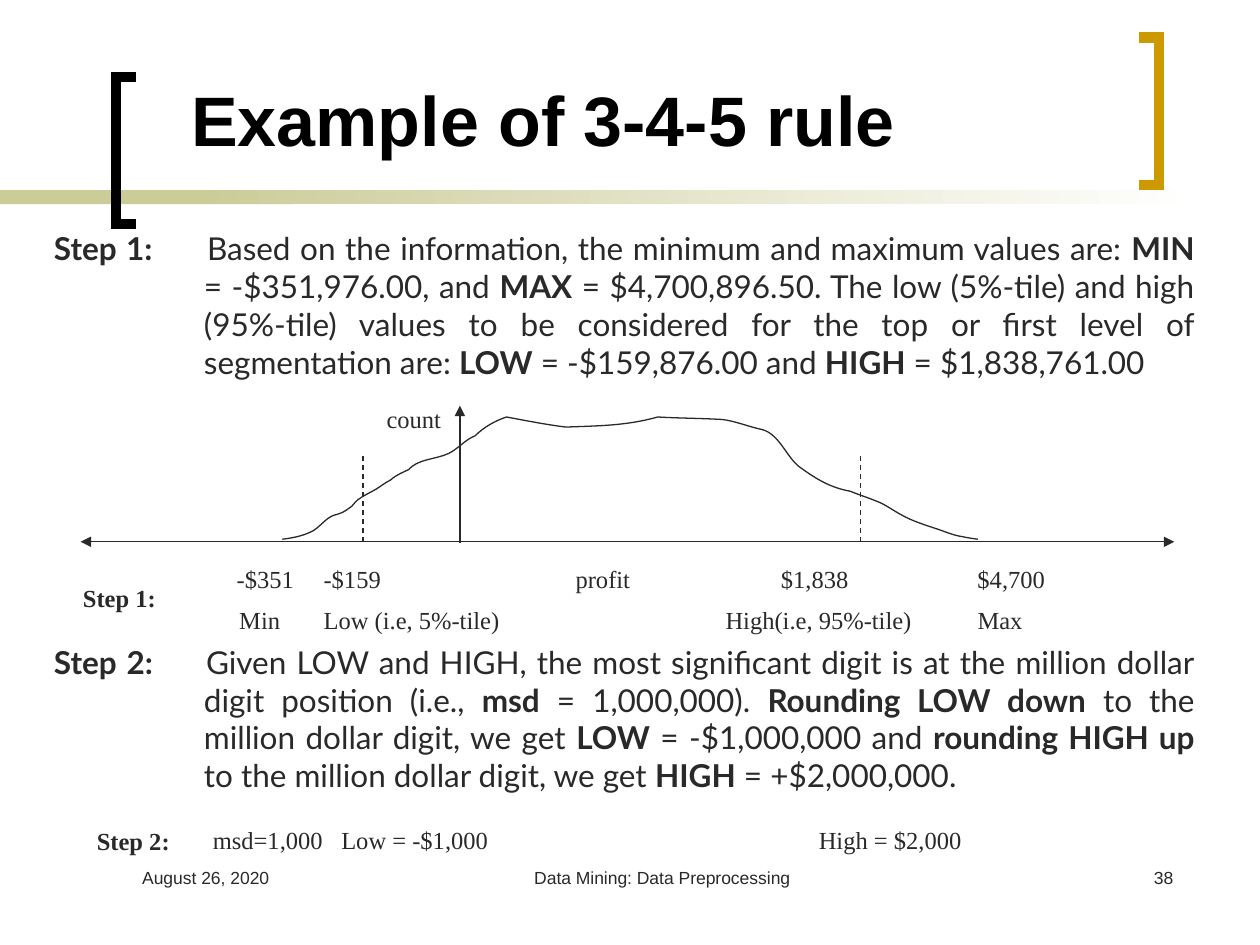
from dataclasses import dataclass

from lxml.etree import SubElement
from pptx import Presentation
from pptx.dml.color import RGBColor as Rgb
from pptx.enum.dml import MSO_LINE as Dash
from pptx.enum.shapes import MSO_CONNECTOR as Connector, MSO_SHAPE as Preset
from pptx.enum.text import MSO_ANCHOR as Anchor, PP_ALIGN as Align
from pptx.oxml.ns import qn
from pptx.util import Inches, Pt


@dataclass(frozen=True)
class Theme:
    ink: str = "292929"
    black: str = "000000"
    gold: str = "CC9900"
    band: str = "CCCC99"
    white: str = "FFFFFF"
    sans: str = "Arial"
    body: str = "Lato"
    serif: str = "Times New Roman"
    title_size: int = 40
    body_size: int = 18
    label_size: int = 14
    footer_size: int = 10
    bracket_line: float = 6
    chart_line: float = 0.75


THEME = Theme()
INSET = 0.1
HANGING = 1.19
CHART_GAP = 150

TITLE = "Example of 3-4-5 rule"
STEPS = [
    [("Step 1:", True),
     (" \tBased on the information, the minimum and maximum values are: ", False),
     ("MIN", True), (" = -$351,976.00, and ", False),
     ("MAX", True),
     (" = $4,700,896.50. The low (5%-tile) and high (95%-tile) values to be "
      "considered for the top or first level of segmentation are: ", False),
     ("LOW", True), (" = -$159,876.00 and ", False),
     ("HIGH", True), (" = $1,838,761.00", False)],
    [("Step 2:\t", True),
     ("Given LOW and HIGH, the most significant digit is at the million dollar "
      "digit position (i.e., ", False),
     ("msd", True), (" = 1,000,000). ", False),
     ("Rounding LOW down", True), (" to the million dollar digit, we get ", False),
     ("LOW", True), (" = -$1,000,000 and ", False),
     ("rounding HIGH up", True), (" to the million dollar digit, we get ", False),
     ("HIGH", True), (" = +$2,000,000.", False)],
]
LABEL_ROWS = [
    (3.16, 3.6, False, [("count", 3.07)]),
    (4.43, 9.75, False, [("-$351", 1.88), ("-$159", 2.57), ("profit", 4.57),
                         ("$1,838", 6.2), ("$4,700", 7.76)]),
    (4.58, 1.48, True, [("Step 1:", 0.66)]),
    (4.75, 9.58, False, [("Min", 1.9), ("Low (i.e, 5%-tile)", 2.57),
                         ("High(i.e, 95%-tile)", 5.76), ("Max", 7.76)]),
    (6.5, 9.08, False, [("msd=1,000", 1.69), ("Low = -$1,000", 2.71),
                        ("High = $2,000", 6.5)]),
    (6.51, 1.58, True, [("Step 2:", 0.77)]),
]
FOOTERS = [
    ("August 26, 2020", 1.03, 2.08, Align.LEFT),
    ("Data Mining: Data Preprocessing", 3.67, 3.17, Align.CENTER),
    ("38", 7.33, 2.08, Align.RIGHT),
]
BRACKETS = [
    ([(1.08, 1.78), (0.92, 1.78), (0.92, 0.61), (1.08, 0.61)], THEME.black),
    ([(9.04, 0.3), (9.2, 0.3), (9.2, 1.47), (9.04, 1.47)], THEME.gold),
]
CURVE_START = (2.24, 4.28)
CURVE = [
    ((2.33, 4.27), (2.42, 4.25), (2.49, 4.21)),
    ((2.55, 4.17), (2.59, 4.11), (2.65, 4.09)),
    ((2.72, 4.07), (2.72, 4.07), (2.79, 4.02)),
    ((2.81, 4), (2.83, 3.97), (2.85, 3.96)),
    ((2.89, 3.93), (2.94, 3.91), (2.99, 3.88)),
    ((3.02, 3.86), (3.06, 3.83), (3.1, 3.81)),
    ((3.14, 3.77), (3.24, 3.73), (3.24, 3.73)),
    ((3.32, 3.64), (3.45, 3.65), (3.56, 3.6)),
    ((3.64, 3.56), (3.69, 3.49), (3.77, 3.46)),
    ((3.84, 3.39), (3.93, 3.34), (4.02, 3.31)),
    ((4.18, 3.34), (4.33, 3.37), (4.49, 3.39)),
    ((4.76, 3.38), (4.97, 3.38), (5.22, 3.31)),
    ((5.39, 3.32), (5.56, 3.32), (5.73, 3.33)),
    ((5.83, 3.34), (5.95, 3.39), (6.05, 3.41)),
    ((6.19, 3.45), (6.24, 3.63), (6.35, 3.71)),
    ((6.49, 3.81), (6.59, 3.87), (6.75, 3.9)),
    ((6.82, 3.93), (6.89, 3.95), (6.96, 3.98)),
    ((7.02, 4), (7.1, 4.06), (7.16, 4.09)),
    ((7.23, 4.13), (7.32, 4.16), (7.41, 4.19)),
    ((7.48, 4.21), (7.56, 4.25), (7.64, 4.26)),
    ((7.68, 4.27), (7.76, 4.28), (7.76, 4.28)),
]
AXES = [
    ((0.64, 4.3), (9.32, 4.3), ("headEnd", "tailEnd")),
    ((3.65, 4.31), (3.65, 3.22), ("tailEnd",)),
]
CUTOFFS = [2.88, 6.83]


def add_text(page, paras, left, top, width, height, *, font, size, color=THEME.ink,
             align=Align.LEFT, anchor=Anchor.TOP, hanging=0, gap=0, tabs=(), wrap=True):
    box = page.shapes.add_textbox(*map(Inches, (left, top, width, height)))
    frame = box.text_frame
    frame.word_wrap = wrap
    frame.vertical_anchor = anchor
    for index, spans in enumerate(paras):
        para = frame.add_paragraph() if index else frame.paragraphs[0]
        para.alignment = align
        if index:
            para.space_before = Pt(gap)
        props = para._p.get_or_add_pPr()
        if hanging:
            props.set("marL", str(Inches(hanging)))
            props.set("indent", str(-Inches(hanging)))
        if tabs:
            stops = SubElement(props, qn("a:tabLst"))
            for tab in tabs:
                SubElement(stops, qn("a:tab"), pos=str(Inches(tab)), algn="l")
        for words, bold in spans:
            span = para.add_run()
            span.text = words
            span.font.name = font
            span.font.size = Pt(size)
            span.font.bold = bold
            span.font.color.rgb = Rgb.from_string(color)


def style_line(shape, color, width):
    shape.line.color.rgb = Rgb.from_string(color)
    shape.line.width = Pt(width)


def add_outline(page, points, color, width):
    start, *rest = [tuple(map(Inches, point)) for point in points]
    builder = page.shapes.build_freeform(*start)
    builder.add_line_segments(rest, close=False)
    outline = builder.convert_to_shape()
    outline.shadow.inherit = False
    outline.fill.background()
    style_line(outline, color, width)
    SubElement(outline.line._get_or_add_ln(), qn("a:miter"), lim="800000")
    return outline


def add_curve(page, start, segments, color, width):
    curve = add_outline(page, [start] + [segment[-1] for segment in segments], color, width)
    pieces = list(curve._element.iter(qn("a:lnTo")))
    for piece, segment in zip(pieces, segments):
        piece.tag = qn("a:cubicBezTo")
        piece.remove(piece[0])
        for x, y in segment:
            SubElement(piece, qn("a:pt"), x=str(Inches(x) - curve.left),
                       y=str(Inches(y) - curve.top))


def add_line(page, start, end, arrows=(), dash=None):
    line = page.shapes.add_connector(Connector.STRAIGHT, *map(Inches, start + end))
    style_line(line, THEME.ink, THEME.chart_line)
    if dash:
        line.line.dash_style = dash
    for arrow in arrows:
        SubElement(line.line._get_or_add_ln(), qn(f"a:{arrow}"), type="triangle")
    SubElement(line._element.spPr, qn("a:effectLst"))


def add_band(page, left, width, end_color=None):
    band = page.shapes.add_shape(Preset.RECTANGLE, *map(Inches, (left, 1.51, width, 0.11)))
    band.shadow.inherit = False
    band.line.fill.background()
    if end_color is None:
        band.fill.solid()
        band.fill.fore_color.rgb = Rgb.from_string(THEME.band)
        return
    band.fill.gradient()
    band.fill.gradient_angle = 0
    for stop, color in zip(band.fill.gradient_stops, (THEME.band, end_color)):
        stop.color.rgb = Rgb.from_string(color)


def add_label_row(page, top, right, bold, labels):
    start = labels[0][1]
    words = "\t".join(label for label, _ in labels)
    add_text(page, [[(words, bold)]], start - INSET, top, right - start + INSET, 0.33,
             font=THEME.serif, size=THEME.label_size, wrap=len(words) > 7,
             tabs=[x - start for _, x in labels[1:]])


def main():
    """Build the slide on the 3-4-5 rule and save it."""
    deck = Presentation()
    deck.slide_width, deck.slide_height = Inches(10), Inches(7.5)
    page = deck.slides.add_slide(deck.slide_layouts[6])
    add_band(page, 0, 2.33)
    add_band(page, 1.58, 7.92, THEME.white)
    for points, color in BRACKETS:
        add_outline(page, points, color, THEME.bracket_line)
    for words, left, width, align in FOOTERS:
        add_text(page, [[(words, False)]], left, 6.83, width, 0.5, font=THEME.sans,
                 size=THEME.footer_size, align=align)
    add_text(page, [[(TITLE, True)]], 1.42, 0.33, 7.08, 0.99, font=THEME.sans,
             size=THEME.title_size, color=THEME.black, anchor=Anchor.BOTTOM)
    add_curve(page, CURVE_START, CURVE, THEME.ink, THEME.chart_line)
    for start, end, arrows in AXES:
        add_line(page, start, end, arrows)
    for x in CUTOFFS:
        add_line(page, (x, 3.62), (x, 4.33), dash=Dash.DASH)
    for row in LABEL_ROWS:
        add_label_row(page, *row)
    add_text(page, STEPS, 0.33, 1.77, 9.25, 4.73, font=THEME.body, size=THEME.body_size,
             align=Align.JUSTIFY, hanging=HANGING, gap=CHART_GAP)
    deck.save("out.pptx")


if __name__ == "__main__":
    main()
